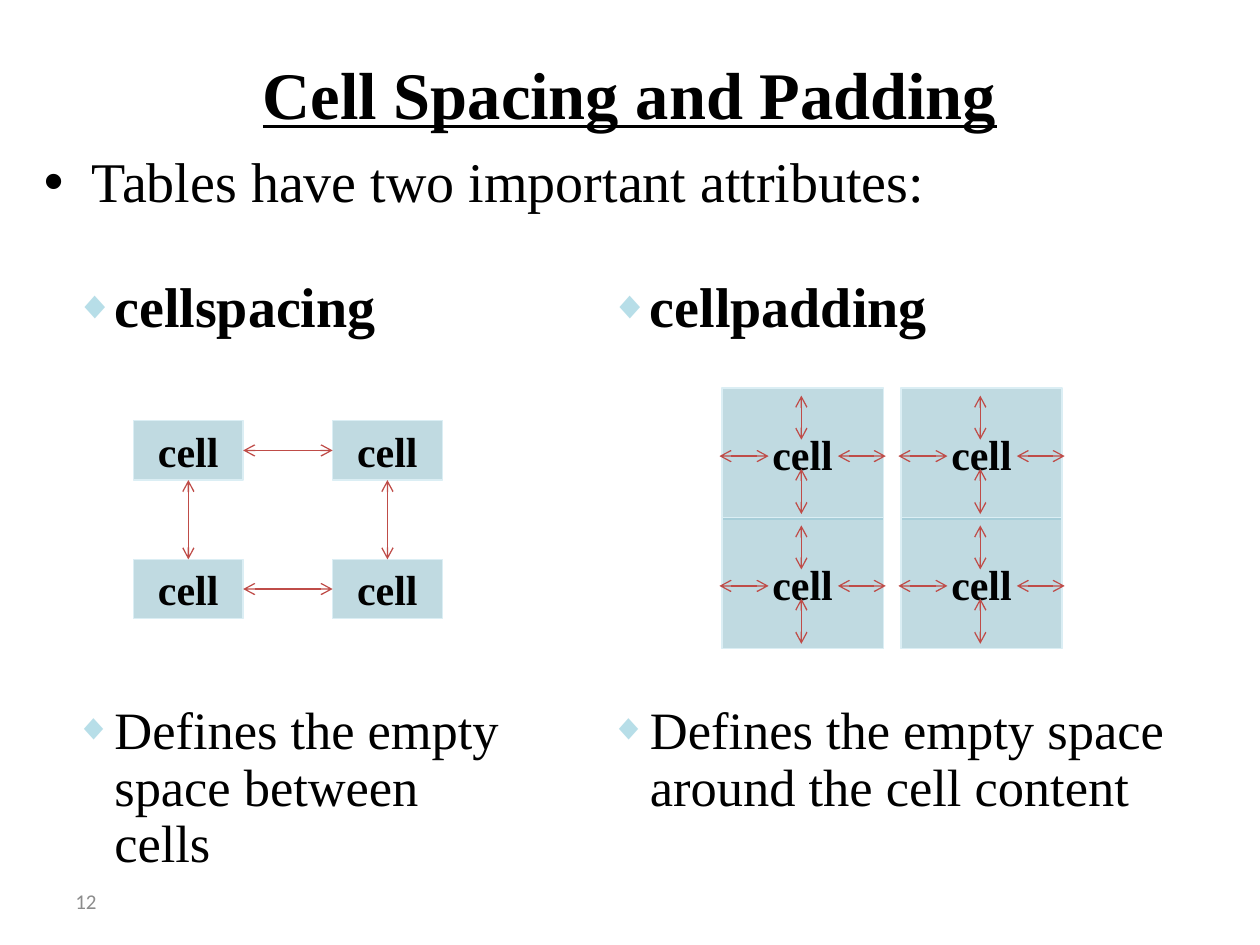
from itertools import product

from lxml import etree
from pptx import Presentation
from pptx import util as u
from pptx.dml.color import RGBColor
from pptx.enum import shapes, text
from pptx.oxml.ns import qn

TITLE = "Cell Spacing and Padding"
INTRO = "Tables have two important attributes:"
COLUMNS = [
    ("cellspacing", "Defines the empty space between cells", (0.5, 2.17, 3.67, 5)),
    ("cellpadding", "Defines the empty space around the cell content", (4.75, 2.17, 4.67, 4.83)),
]
PAGE_NUMBER = "12"
CELL = "cell"

SPACED = {"left": 1.06, "top": 3.34, "pitch": (1.58, 1.1), "size": (0.87, 0.47)}
PADDED = {"left": 5.73, "top": 3.08, "pitch": (1.42, 1.03), "size": (1.28, 1.04)}
SPACING_LINKS = [((0, 0), (0, 1), 3, 1), ((1, 0), (1, 1), 3, 1),
                 ((0, 0), (1, 0), 2, 0), ((0, 1), (1, 1), 2, 0)]
PADDING_ARROWS = [(0.63, 0.64, 0.63, 1.0), (-0.02, 0.54, 0.37, 0.54),
                  (0.92, 0.54, 1.3, 0.54), (0.63, 0.06, 0.63, 0.41)]

SERIF, SANS = "Times New Roman", "Calibri"
COLORS = {"ink": "000000", "number": "8C8C8C", "bullet": "B7DEE8",
          "cell": "31859C", "edge": "DBEEF4", "arrow": "BF4C48"}


def color(name):
    return RGBColor.from_string(COLORS[name])


def inches(*values):
    return [u.Inches(value) for value in values]


def add_span(para, words, size, bold=False, font=SERIF, ink="ink"):
    span = para.add_run()
    span.text = words
    span.font.size = u.Pt(size)
    span.font.name = font
    span.font.bold = bold
    span.font.color.rgb = color(ink)
    return span


def add_box(page, place):
    box = page.shapes.add_textbox(*inches(*place))
    box.text_frame.word_wrap = True
    return box.text_frame


def format_bullet(para, char, indent, before, after, tint=None, percent=None):
    para.line_spacing = 0.9
    para.space_before = u.Pt(before)
    para.space_after = u.Pt(after)
    props = para._p.get_or_add_pPr()
    props.set("marL", str(u.Inches(indent)))
    props.set("indent", str(-u.Inches(indent)))
    if tint:
        holder = etree.SubElement(props, qn("a:buClr"))
        etree.SubElement(holder, qn("a:srgbClr"), val=COLORS[tint])
    if percent:
        etree.SubElement(props, qn("a:buSzPct"), val=str(percent * 1000))
    etree.SubElement(props, qn("a:buFont"), typeface="Arial")
    etree.SubElement(props, qn("a:buChar"), char=char)


def add_cell(group, left, top, size, margins=None):
    cell = group.shapes.add_shape(shapes.MSO_SHAPE.RECTANGLE, *inches(left, top, *size))
    cell.shadow.inherit = False
    cell.fill.solid()
    cell.fill.fore_color.rgb = color("cell")
    tone = cell.fill._xPr.find(qn("a:solidFill"))[0]
    etree.SubElement(tone, qn("a:alpha"), val="30000")
    cell.line.color.rgb = color("edge")
    cell.line.width = u.Pt(0.75)
    frame = cell.text_frame
    frame.word_wrap = False
    frame.vertical_anchor = text.MSO_ANCHOR.MIDDLE
    if margins:
        frame.margin_left = frame.margin_right = u.Inches(margins[0])
        frame.margin_top = frame.margin_bottom = u.Inches(margins[1])
    para = frame.paragraphs[0]
    para.alignment = text.PP_ALIGN.CENTER
    add_span(para, CELL, 24, bold=True)
    return cell


def add_arrow(group, ends=(0, 0, 0, 0)):
    arrow = group.shapes.add_connector(shapes.MSO_CONNECTOR.STRAIGHT, *inches(*ends))
    arrow.line.color.rgb = color("arrow")
    arrow.line.width = u.Pt(0.75)
    line = arrow.line._get_or_add_ln()
    for tag in ("a:headEnd", "a:tailEnd"):
        etree.SubElement(line, qn(tag), type="arrow")
    etree.SubElement(arrow._element.spPr, qn("a:effectLst"))
    return arrow


def grid_spots(grid):
    for row, column in product(range(2), repeat=2):
        yield ((row, column), grid["left"] + column * grid["pitch"][0],
               grid["top"] + row * grid["pitch"][1])


def add_title(page):
    title = page.shapes.title
    title.left, title.top, title.width, title.height = inches(0.5, 0.3, 9, 0.87)
    frame = title.text_frame
    frame.auto_size = text.MSO_AUTO_SIZE.NONE
    frame.vertical_anchor = text.MSO_ANCHOR.MIDDLE
    para = frame.paragraphs[0]
    para.alignment = text.PP_ALIGN.CENTER
    add_span(para, TITLE, 38, bold=True).font.underline = True


def add_texts(page):
    for name, meaning, place in COLUMNS:
        frame = add_box(page, place)
        heading, definition = frame.paragraphs[0], frame.add_paragraph()
        format_bullet(heading, "◆", 0.31, 6, 6, "bullet", 70)
        add_span(heading, name, 32, bold=True)
        format_bullet(definition, "◆", 0.31, 202, 6, "bullet", 70)
        add_span(definition, meaning, 30)

    intro = add_box(page, (0.25, 1.17, 9.5, 0.58)).paragraphs[0]
    format_bullet(intro, "•", 0.38, 6.4, 0)
    add_span(intro, INTRO, 32)

    number = add_box(page, (0.5, 6.95, 2.33, 0.4))
    number.vertical_anchor = text.MSO_ANCHOR.MIDDLE
    add_span(number.paragraphs[0], PAGE_NUMBER, 12, font=SANS, ink="number")


def add_spacing_diagram(page):
    group = page.shapes.add_group_shape()
    cells = {spot: add_cell(group, left, top, SPACED["size"])
             for spot, left, top in grid_spots(SPACED)}
    for start, end, start_side, end_side in SPACING_LINKS:
        arrow = add_arrow(group)
        arrow.begin_connect(cells[start], start_side)
        arrow.end_connect(cells[end], end_side)
    left, top = inches(SPACED["left"], SPACED["top"])
    width, height = inches(*(p + s for p, s in zip(SPACED["pitch"], SPACED["size"])))
    frame = group._element.grpSpPr.get_or_add_xfrm()
    for tag in ("a:off", "a:chOff"):
        frame.find(qn(tag)).set("x", str(left))
        frame.find(qn(tag)).set("y", str(top))
    for tag in ("a:ext", "a:chExt"):
        frame.find(qn(tag)).set("cx", str(width))
        frame.find(qn(tag)).set("cy", str(height))


def add_padding_diagram(page):
    group = page.shapes.add_group_shape()
    for _, left, top in grid_spots(PADDED):
        add_cell(group, left, top, PADDED["size"], (0.39, 0.31))
        for x1, y1, x2, y2 in PADDING_ARROWS:
            add_arrow(group, (left + x1, top + y1, left + x2, top + y2))


def main():
    deck = Presentation()
    deck.slide_width, deck.slide_height = inches(10, 7.5)
    page = deck.slides.add_slide(deck.slide_layouts[5])
    add_title(page)
    add_texts(page)
    add_spacing_diagram(page)
    add_padding_diagram(page)
    deck.save("out.pptx")


if __name__ == "__main__":
    main()
